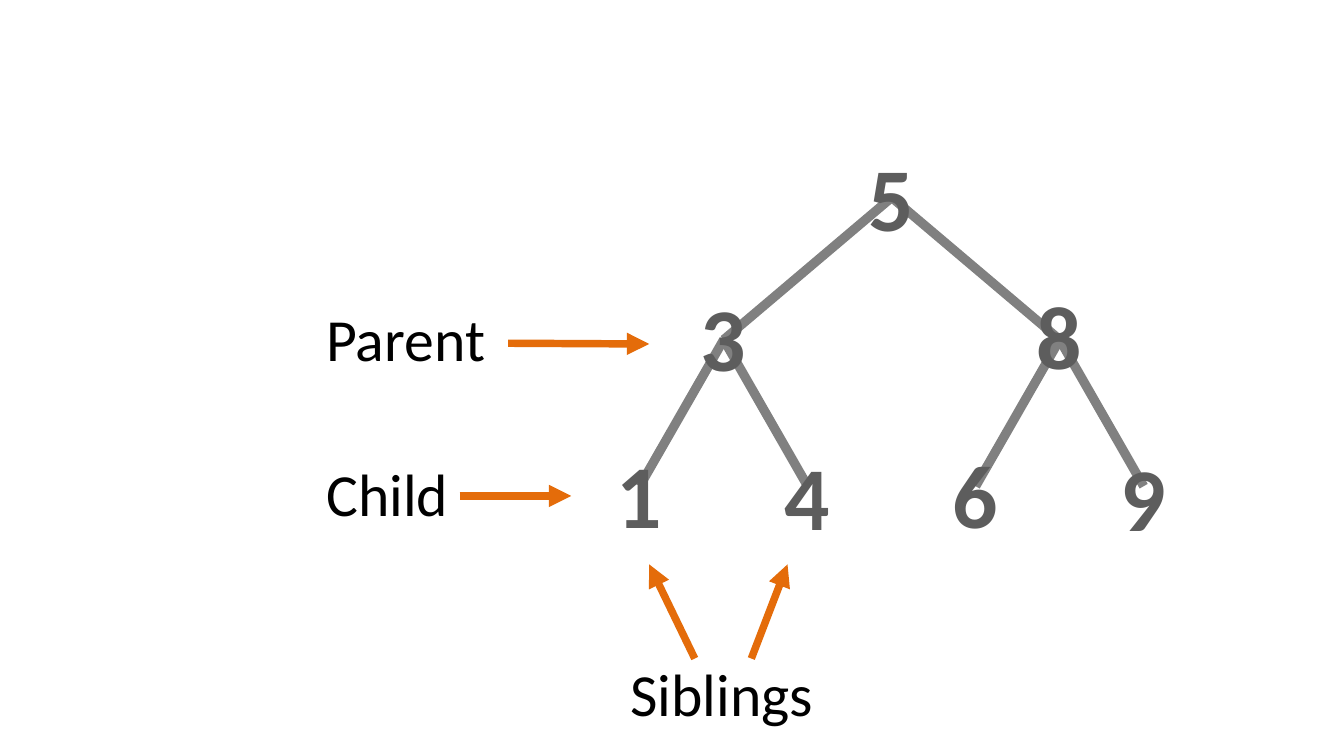
"""Build a slide that names the parts of a binary search tree."""
from lxml import etree
from pptx import Presentation, util as u
from pptx.dml.color import RGBColor
from pptx.enum import shapes, text
from pptx.oxml.ns import qn

Pt = u.Pt
COLORS = {"edge": "808080", "node": "5D5D5D", "label": "000000", "arrow": "E46C0A"}
LEFT, STEP, NODE_W, NODE_H = 342.7, 45, 38.9, 65.5
LEVEL_Y = [105.8, 182, 260.5]
NODES = {
    "1": (0, 2, 231.8),
    "3": (1, 1, 147.6),
    "4": (2, 2, 232.6),
    "5": (3, 0, 72.7),
    "6": (4, 2, 231.8),
    "8": (5, 1, 146.2),
    "9": (6, 2, 233.3),
}
EDGES = ["53", "34", "58", "86", "89", "31"]
LABELS = [
    ("Parent", 167.8, 158.4, 125.3, text.PP_ALIGN.LEFT),
    ("Child", 167.8, 241.2, 95.8, text.PP_ALIGN.LEFT),
    ("Siblings", 324, 348.5, 125.3, text.PP_ALIGN.CENTER),
]
ARROWS = [
    (272.2, 183.9, 347.8, 184.3),
    (246.2, 265.7, 306, 265.7),
    (402.5, 352.8, 421.9, 302.4),
    (372.2, 352.8, 347.8, 302.4),
]

prs = Presentation()
prs.slide_width, prs.slide_height = Pt(720), Pt(405)
s = prs.slides.add_slide(prs.slide_layouts[6])


def add_line(ends, color, width):
    c = s.shapes.add_connector(shapes.MSO_CONNECTOR.STRAIGHT, *map(Pt, ends))
    c.line.color.rgb = RGBColor.from_string(COLORS[color])
    c.line.width = Pt(width)
    etree.SubElement(c._element.spPr, qn("a:effectLst"))
    return c


def add_text(words, box, size, color, align, wrap, bold):
    tf = s.shapes.add_textbox(*map(Pt, box)).text_frame
    tf.word_wrap = wrap
    tf.auto_size = text.MSO_AUTO_SIZE.SHAPE_TO_FIT_TEXT
    p = tf.paragraphs[0]
    p.text = words
    p.alignment = align
    p.font.name, p.font.size, p.font.bold = "Calibri", Pt(size), bold
    p.font.color.rgb = RGBColor.from_string(COLORS[color])


for parent, child in EDGES:
    ends = []
    for name in (parent, child):
        col, level, top = NODES[name]
        ends += [LEFT + col * STEP, LEVEL_Y[level]]
    add_line(ends, "edge", 5)

for name, (col, level, top) in NODES.items():
    box = (LEFT + col * STEP - NODE_W / 2, top, NODE_W, NODE_H)
    add_text(name, box, 48, "node", text.PP_ALIGN.CENTER, False, True)

for words, left, top, width, align in LABELS:
    add_text(words, (left, top, width, 46.1), 32, "label", align, True, False)

for ends in ARROWS:
    c = add_line(ends, "arrow", 4)
    etree.SubElement(c.line._get_or_add_ln(), qn("a:tailEnd"), type="triangle")

prs.save("out.pptx")
